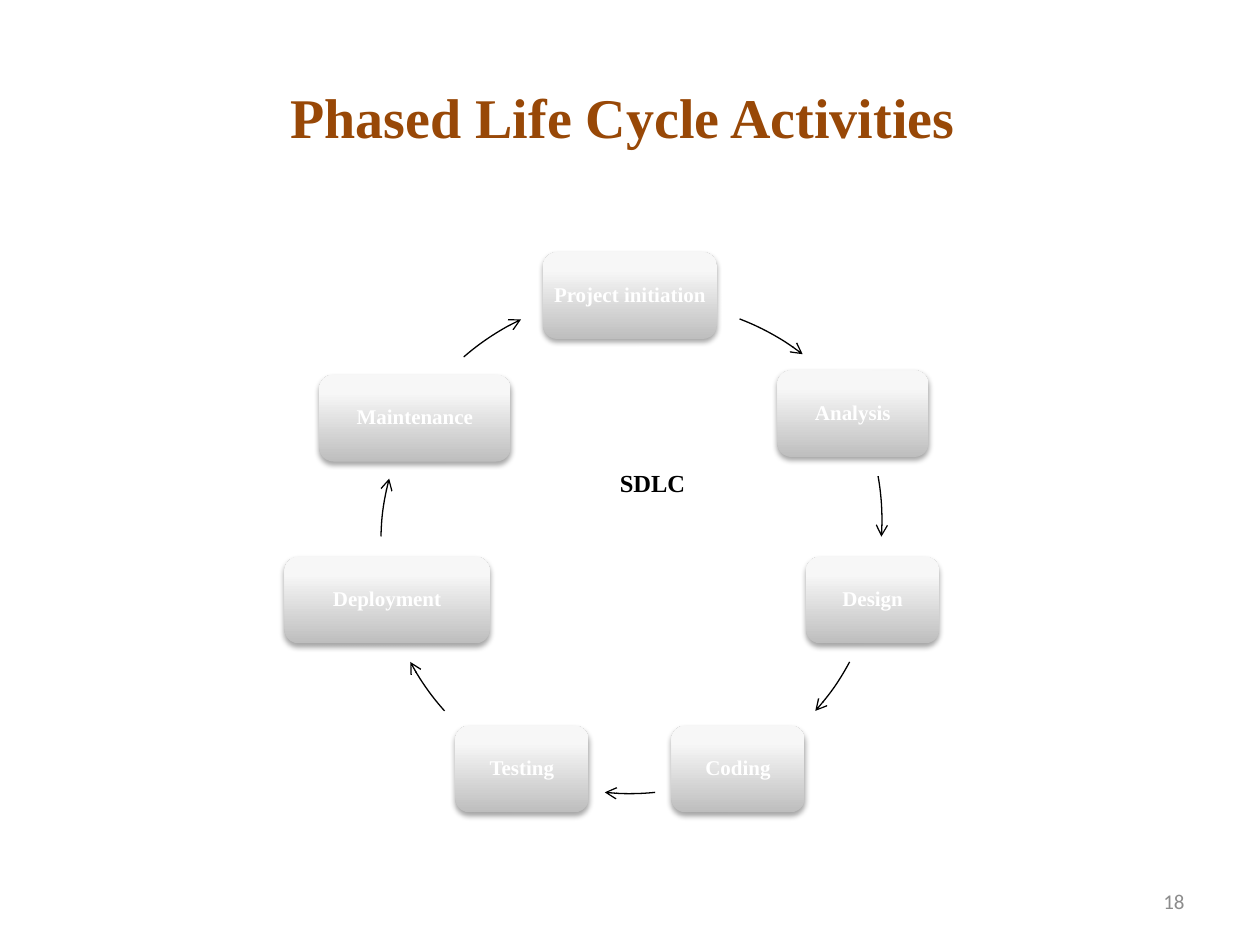
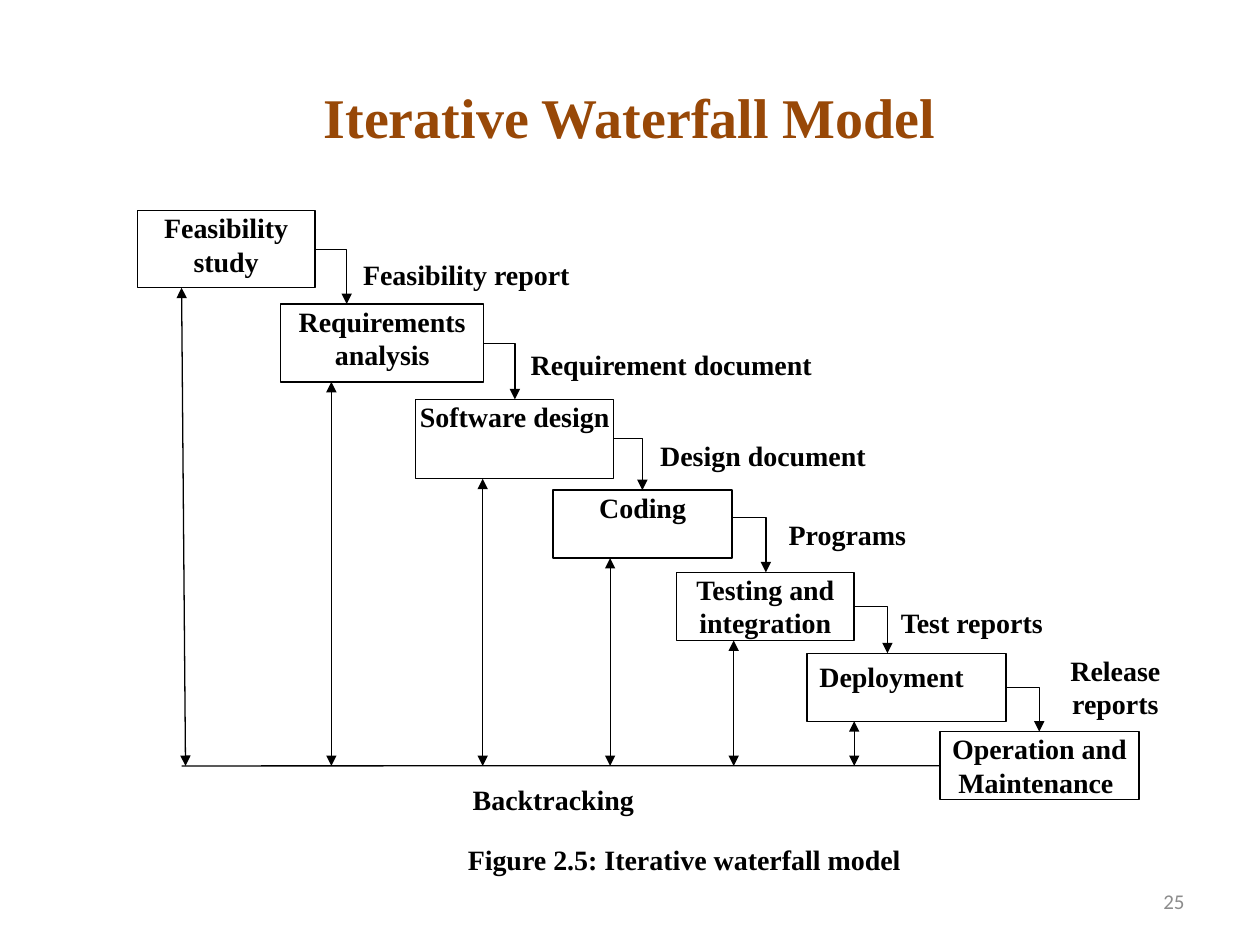
from copy import deepcopy
from dataclasses import dataclass
from math import cos, radians, sin

from lxml import etree
from pptx import Presentation
from pptx.dml.color import RGBColor
from pptx.enum.shapes import MSO_CONNECTOR, MSO_SHAPE
from pptx.enum.text import MSO_ANCHOR, PP_ALIGN
from pptx.oxml.ns import qn
from pptx.util import Cm, Pt

RECT, ROUND, ARC = MSO_SHAPE.RECTANGLE, MSO_SHAPE.ROUNDED_RECTANGLE, MSO_SHAPE.ARC
STRAIGHT, ELBOW = MSO_CONNECTOR.STRAIGHT, MSO_CONNECTOR.ELBOW
LEFT, CENTER, RIGHT = PP_ALIGN.LEFT, PP_ALIGN.CENTER, PP_ALIGN.RIGHT
TOP, MIDDLE = MSO_ANCHOR.TOP, MSO_ANCHOR.MIDDLE
LEFT_SIDE = 1


@dataclass(frozen=True)
class Theme:
    serif: str = "Times New Roman"
    sans: str = "Calibri"
    title: str = "984807"
    ink: str = "000000"
    paper: str = "FFFFFF"
    number: str = "8C8C8C"
    gradient: tuple = ((0, "BEBEBE"), (0.8, "F7F7F7"), (1, "F8F8F8"))
    title_size: int = 32
    stage_size: int = 16
    hub_size: int = 14
    small_size: int = 12
    line: float = 0.75


@dataclass(frozen=True)
class Box:
    left: float
    top: float
    width: float
    height: float

    def inner(self, left, top, width, height):
        return Box(self.left + left, self.top + top, width, height)

    def emu(self):
        return [Cm(v) for v in (self.left, self.top, self.width, self.height)]


THEME = Theme()
PADDED = (0.25, 0.13)
TIGHT = (0, 0)

TITLE_BOX = Box(1.27, 0.76, 22.86, 3.18)
NUMBER_BOX = Box(18.21, 17.65, 5.92, 1.02)
RING_BOX = Box(7.68, 5.96, 10.04, 10.04)
WATERFALL_BOX = Box(2.77, 4.25, 20.85, 13.41)

PHASES = [
    ("Project initiation", 3.51, (0, 0)),
    ("Analysis", 3.05, (0.57, 0.49)),
    ("Design", 2.69, (0, 0)),
    ("Coding", 2.69, (0, 0)),
    ("Testing", 2.69, (0, 0)),
    ("Deployment", 4.14, (0, 0)),
    ("Maintenance", 3.86, (-0.41, 0.58)),
]
PHASE_HEIGHT = 1.75
ARCS = [
    (20.9, 37.6, (0.42, 0.14)),
    (79.9, 93.9, (0.06, -0.5)),
    (118.1, 131.9, (0, 0)),
    (174.2, 185.8, (0, 0)),
    (228.1, 241.9, (0, 0)),
    (271.3, 284.8, (0, -0.05)),
    (318.9, 334.7, (-0.05, 0)),
]
ARC_UNIT = 0.6


@dataclass(frozen=True)
class Stage:
    name: str
    place: tuple
    entry: float = 0
    leave: float = 0
    drop: float = 0
    drift: float = 0
    align: PP_ALIGN = CENTER
    inset: tuple = TIGHT


STAGES = [
    Stage("Feasibility study", (0, 0, 3.58, 1.55), 0, 0.78, 0.89, 0.08),
    Stage("Requirements analysis", (2.89, 1.88, 4.09, 1.57), 1.33, 0.79, 3.91),
    Stage("Software design", (5.61, 3.8, 3.99, 1.6), 2, 0.79, 6.96),
    Stage("Coding", (8.38, 5.63, 3.61, 1.37), 1.8, 0.55, 9.53),
    Stage("Testing and integration", (10.87, 7.29, 3.58, 1.37), 1.8, 0.69, 12.02),
    Stage("Deployment", (13.5, 8.92, 4.01, 1.37), 1.62, 0.69, 14.45, 0, LEFT, PADDED),
    Stage("Operation and Maintenance ", (16.18, 10.5, 4.01, 1.37), 2),
]
LABELS = [
    ("Feasibility report", (4.55, 0.94, 4.34, 0.61), LEFT, TIGHT),
    ("Requirement document", (7.93, 2.76, 7.65, 0.69), LEFT, TIGHT),
    ("Design document", (10.54, 4.59, 5.05, 0.61), LEFT, TIGHT),
    ("Programs", (13.13, 6.19, 2.44, 0.79), LEFT, TIGHT),
    ("Test reports", (15.39, 7.96, 3.18, 0.69), LEFT, TIGHT),
    ("Release reports", (18.57, 8.92, 2.29, 1.37), CENTER, TIGHT),
    ("Backtracking", (6.76, 11.52, 4.11, 0.97), LEFT, TIGHT),
    ("Figure 2.5: Iterative waterfall model", (5.07, 12.61, 11.91, 0.79), CENTER, PADDED),
]
BACKTRACK_Y = 11.19
BACKTRACK_LEFT = 0.89


def rgb(color):
    return RGBColor.from_string(color)


def write(sp, text, size, color, align=CENTER, anchor=TOP, inset=PADDED,
          font=THEME.serif, bold=True):
    tf = sp.text_frame
    tf.word_wrap = True
    tf.vertical_anchor = anchor
    tf.margin_left = tf.margin_right = Cm(inset[0])
    tf.margin_top = tf.margin_bottom = Cm(inset[1])
    p = tf.paragraphs[0]
    p.text = text
    p.alignment = align
    p.font.name = font
    p.font.size = Pt(size)
    p.font.bold = bold
    p.font.color.rgb = rgb(color)
    return p


def add_text(s, box, text, size, color, **style):
    write(s.shapes.add_textbox(*box.emu()), text, size, color, anchor=MIDDLE, **style)


def add_panel(s, box, text, size, outline, align=CENTER, inset=PADDED):
    sp = s.shapes.add_shape(RECT, *box.emu())
    sp.shadow.inherit = False
    sp.fill.solid()
    sp.fill.fore_color.rgb = rgb(THEME.paper)
    sp.line.color.rgb = rgb(outline)
    sp.line.width = Pt(THEME.line)
    write(sp, text, size, THEME.ink, align, TOP, inset)
    return sp


def style_line(sp, **ends):
    sp.line.color.rgb = rgb(THEME.ink)
    sp.line.width = Pt(THEME.line)
    ln = sp._element.spPr.find(qn("a:ln"))
    for end in ("headEnd", "tailEnd"):
        if end in ends:
            etree.SubElement(ln, qn(f"a:{end}"), type=ends[end])


def add_link(s, kind, start, finish, **ends):
    cx = s.shapes.add_connector(kind, *(Cm(v) for v in (*start, *finish)))
    style_line(cx, **ends)
    etree.SubElement(cx._element.spPr, qn("a:effectLst"))
    return cx


def fill_gradient(sp):
    sp.fill.gradient()
    sp.fill.gradient_angle = 90
    gs_list = sp._element.spPr.find(qn("a:gradFill")).find(qn("a:gsLst"))
    gs_list.append(deepcopy(gs_list[-1]))
    for stop, (position, color) in zip(sp.fill.gradient_stops, THEME.gradient):
        stop.position = position
        stop.color.rgb = rgb(color)


def drop_shadow(sp):
    sp.shadow.inherit = False
    effects = sp._element.spPr.find(qn("a:effectLst"))
    shadow = etree.SubElement(effects, qn("a:outerShdw"), blurRad="40000",
                              dist="23000", dir="5400000", rotWithShape="0")
    color = etree.SubElement(shadow, qn("a:srgbClr"), val=THEME.ink)
    etree.SubElement(color, qn("a:alpha"), val="35000")


def add_frame(prs, title, number):
    s = prs.slides.add_slide(prs.slide_layouts[6])
    add_text(s, TITLE_BOX, title, THEME.title_size, THEME.title)
    add_text(s, NUMBER_BOX, number, THEME.small_size, THEME.number,
             align=RIGHT, font=THEME.sans, bold=False)
    return s


def ring_point(box, degrees, nudge):
    radius = box.width / 2
    angle = radians(degrees)
    return (box.left + radius * (1 + sin(angle)) + nudge[0],
            box.top + radius * (1 - cos(angle)) + nudge[1])


def add_phase(s, center, name, width):
    x, y = center
    box = Box(x - width / 2, y - PHASE_HEIGHT / 2, width, PHASE_HEIGHT)
    sp = s.shapes.add_shape(ROUND, *box.emu())
    fill_gradient(sp)
    sp.line.fill.background()
    drop_shadow(sp)
    p = write(sp, name, THEME.small_size, THEME.paper, anchor=MIDDLE, inset=(0.05, 0.13))
    p.line_spacing = 0.9


def add_arc(s, box, start, finish, nudge):
    sp = s.shapes.add_shape(ARC, *box.inner(*nudge, box.width, box.height).emu())
    for i, degrees in enumerate((start, finish)):
        sp.adjustments[i] = (degrees - 90) % 360 * ARC_UNIT
    sp.shadow.inherit = False
    sp.fill.background()
    style_line(sp, tailEnd="arrow")


def add_cycle(s, box):
    for i, (name, width, nudge) in enumerate(PHASES):
        add_phase(s, ring_point(box, i * 360 / len(PHASES), nudge), name, width)
    for start, finish, nudge in ARCS:
        add_arc(s, box, start, finish, nudge)
    add_panel(s, box.inner(4.18, 3.35, 2.59, 0.97), "SDLC", THEME.hub_size, THEME.paper)


def add_waterfall(s, box):
    places = [box.inner(*stage.place) for stage in STAGES]
    for label, place, align, inset in LABELS:
        add_panel(s, box.inner(*place), label, THEME.stage_size, THEME.paper, align, inset)
    panels = [add_panel(s, place, stage.name, THEME.stage_size, THEME.ink,
                        stage.align, stage.inset)
              for stage, place in zip(STAGES, places)]

    base = box.top + BACKTRACK_Y
    for i, stage in enumerate(STAGES[:-1]):
        place, below = places[i], places[i + 1]
        elbow = add_link(s, ELBOW, (place.left + place.width, place.top + stage.leave),
                         (below.left + STAGES[i + 1].entry, below.top), tailEnd="triangle")
        elbow._element.spPr.find(qn("a:prstGeom")).set("prst", "bentConnector2")
        x = box.left + stage.drop
        add_link(s, STRAIGHT, (x, place.top + place.height), (x + stage.drift, base),
                 headEnd="triangle", tailEnd="triangle")

    track = add_link(s, STRAIGHT, (places[-1].left, base), (box.left + BACKTRACK_LEFT, base))
    track.begin_connect(panels[-1], LEFT_SIDE)


def main():
    prs = Presentation()
    prs.slide_width, prs.slide_height = Cm(25.4), Cm(19.05)
    add_cycle(add_frame(prs, "Phased Life Cycle Activities ", "18"), RING_BOX)
    add_waterfall(add_frame(prs, "Iterative Waterfall Model", "25"), WATERFALL_BOX)
    prs.save("out.pptx")


if __name__ == "__main__":
    main()
